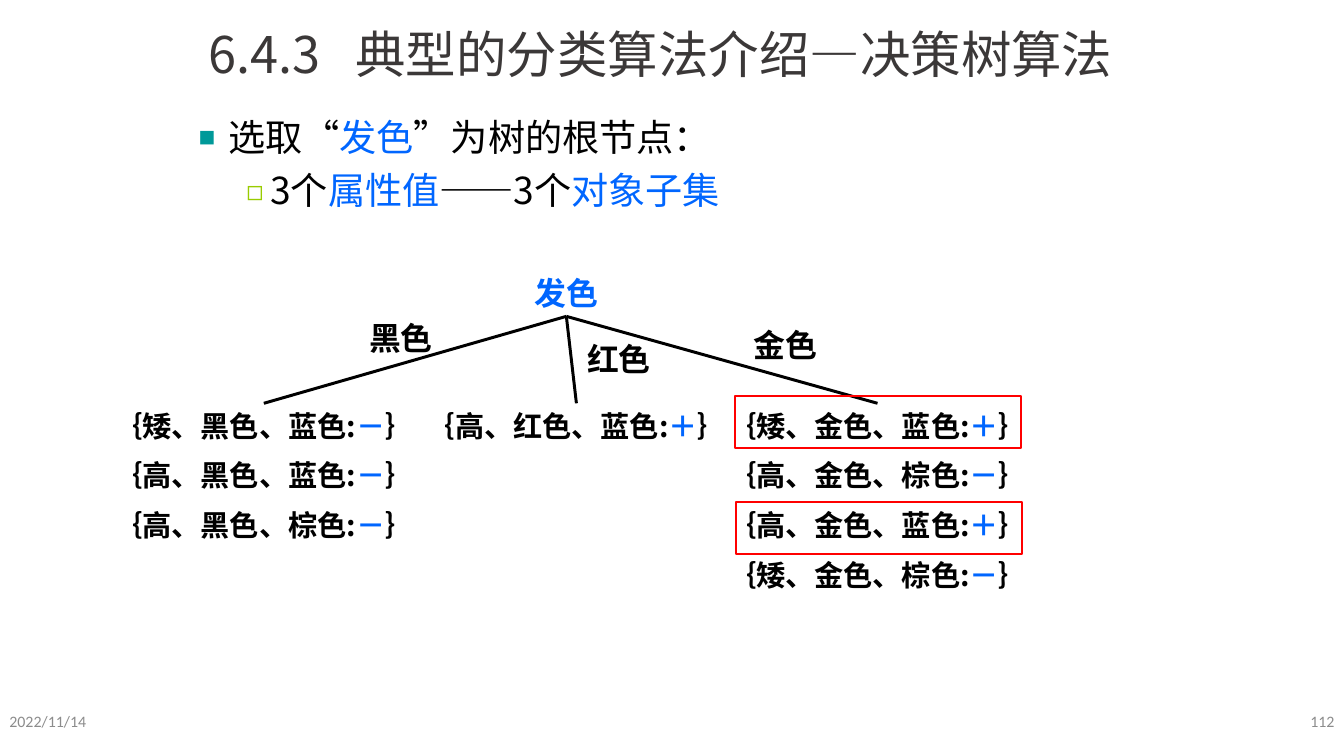
from dataclasses import dataclass

from lxml import etree
from pptx import Presentation
from pptx import util as u
from pptx.dml import color
from pptx.enum import shapes, text
from pptx.oxml import ns


@dataclass(frozen=True)
class Theme:
    black: str = "000000"
    blue: str = "0066FF"
    teal: str = "009999"
    lime: str = "99CC00"
    red: str = "FF0000"
    gray: str = "8C8C8C"
    dark: str = "3B3838"
    sans: str = "Noto Sans CJK SC"
    label: str = "Arial"
    foot: str = "Calibri"
    head: int = 38
    body: int = 28
    node: int = 24
    leaf: int = 22
    small: int = 12


T = Theme()


def rgb(code):
    return color.RGBColor.from_string(code)


def child(parent, tag, **attrs):
    return etree.SubElement(parent, ns.qn(tag), attrs)


def style(run, font, size, tone, bold):
    run.font.name = font
    run.font.size = u.Pt(size)
    run.font.bold = bold
    run.font.color.rgb = rgb(tone)
    latin = run.font._element.find(ns.qn("a:latin"))
    east = etree.Element(ns.qn("a:ea"), typeface=T.sans)
    latin.addnext(east)


def write(para, line, font, size, tone, bold=False):
    for i, part in enumerate(line.split("*")):
        run = para.add_run()
        run.text = part
        style(run, font, size, T.blue if i % 2 else tone, bold)


def add_text(slide, place, lines, font, size, tone=T.black, bold=False,
             align=text.PP_ALIGN.LEFT, gap=0):
    box = slide.shapes.add_textbox(*map(u.Inches, place))
    frame = box.text_frame
    frame.word_wrap = True
    for i, line in enumerate(lines):
        para = frame.add_paragraph() if i else frame.paragraphs[0]
        para.alignment = align
        if i and gap:
            para.space_before = u.Pt(gap)
        write(para, line, font, size, tone, bold)
    return box


def add_title(slide):
    box = add_text(slide, (2.08, 0.19, 9.76, 0.75),
                   ["6.4.3\t典型的分类算法介绍—决策树算法"], T.sans, T.head, T.dark)
    box.text_frame.word_wrap = False
    props = box.text_frame.paragraphs[0]._p.get_or_add_pPr()
    tabs = child(props, "a:tabLst")
    child(tabs, "a:tab", pos=str(u.Inches(1.54)), algn="l")


def add_foot(slide, left, line, align):
    box = add_text(slide, (left, 7.33, 3.16, 0.42), [line],
                   T.foot, T.small, T.gray, align=align)
    box.text_frame.vertical_anchor = text.MSO_ANCHOR.MIDDLE


def add_points(slide, points):
    box = slide.shapes.add_textbox(*map(u.Inches, (1.48, 1.15, 9, 5.55)))
    frame = box.text_frame
    frame.word_wrap = True
    for i, (line, mark, face, tone, margin, hang) in enumerate(points):
        para = frame.add_paragraph() if i else frame.paragraphs[0]
        para.level = i
        if i:
            para.space_before = u.Pt(6)
        props = para._p.get_or_add_pPr()
        props.set("marL", str(u.Inches(margin)))
        props.set("indent", str(-u.Inches(hang)))
        child(child(props, "a:buClr"), "a:srgbClr", val=tone)
        child(props, "a:buSzPct", val="75000")
        child(props, "a:buFont", typeface=face)
        child(props, "a:buChar", char=mark)
        write(para, line, T.sans, T.body, T.black)


def add_node(slide, left, top, line):
    return add_text(slide, (left, top, 1.65, 0.5), [line], T.label, T.node,
                    bold=True, align=text.PP_ALIGN.CENTER)


def add_leaf(slide, left, lines):
    height = 0.47 + 0.55 * (len(lines) - 1)
    return add_text(slide, (left, 4.22, 3.58, height), lines, T.sans, T.leaf,
                    bold=True, align=text.PP_ALIGN.CENTER, gap=11)


def add_branch(slide, root, leaf):
    line = slide.shapes.add_connector(shapes.MSO_CONNECTOR.STRAIGHT, 0, 0, 0, 0)
    line.begin_connect(root, 2)
    line.end_connect(leaf, 0)
    line.line.color.rgb = rgb(T.black)
    line.line.width = u.Pt(2.25)
    child(line._element.spPr, "a:effectLst")


def add_frame(slide, left, top):
    rect = slide.shapes.add_shape(shapes.MSO_SHAPE.RECTANGLE,
                                  *map(u.Inches, (left, top, 2.99, 0.55)))
    rect.shadow.inherit = False
    rect.fill.background()
    rect.line.color.rgb = rgb(T.red)
    rect.line.width = u.Pt(1.5)


def add_tree(slide):
    root = add_node(slide, 5.1, 2.81, "*发色*")
    for left, top, hair in ((3.37, 3.28, "黑色"), (5.65, 3.51, "红色"),
                            (7.39, 3.36, "金色")):
        add_node(slide, left, top, hair)
    groups = (
        (0.97, "黑色", (("矮", "蓝色", "－"), ("高", "蓝色", "－"), ("高", "棕色", "－"))),
        (4.24, "红色", (("高", "蓝色", "＋"),)),
        (7.39, "金色", (("矮", "蓝色", "＋"), ("高", "棕色", "－"),
                      ("高", "蓝色", "＋"), ("矮", "棕色", "－"))),
    )
    for left, hair, people in groups:
        lines = [f"｛{tall}、{hair}、{eyes}:*{sign}*｝" for tall, eyes, sign in people]
        add_branch(slide, root, add_leaf(slide, left, lines))
    add_frame(slide, 7.69, 4.14)
    add_frame(slide, 7.7, 5.25)


def main():
    deck = Presentation()
    deck.slide_width = u.Inches(14.06)
    deck.slide_height = u.Inches(7.91)
    slide = deck.slides.add_slide(deck.slide_layouts[6])
    add_foot(slide, 0, "2022/11/14", text.PP_ALIGN.LEFT)
    add_foot(slide, 10.9, "112", text.PP_ALIGN.RIGHT)
    add_title(slide)
    add_points(slide, (
        ("选取“*发色*”为树的根节点：", "■", T.label, T.teal, 0.81, 0.31),
        ("3个*属性值*——3个*对象子集*", "◻", T.sans, T.lime, 1.25, 0.25),
    ))
    add_tree(slide)
    deck.save("out.pptx")


if __name__ == "__main__":
    main()
